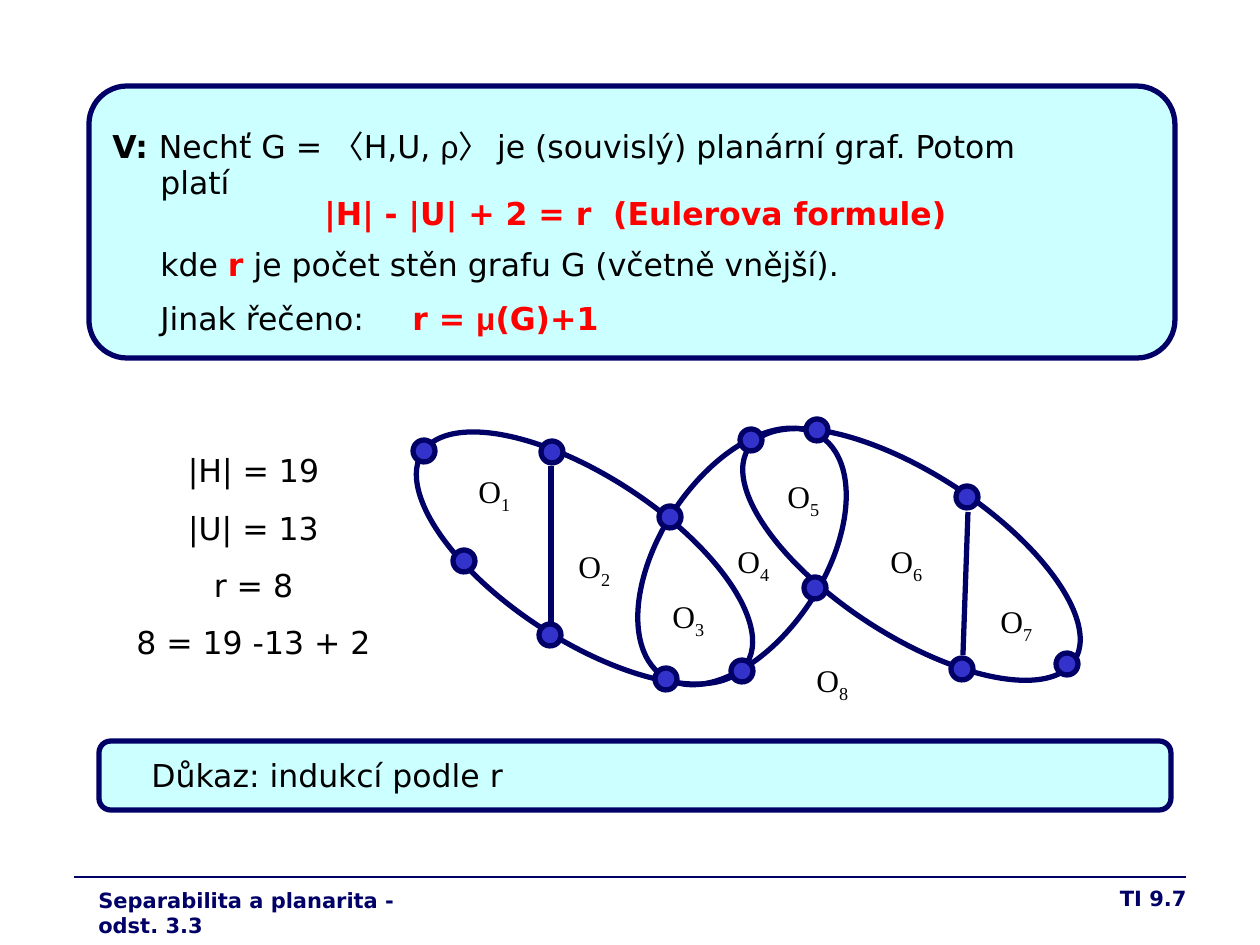
import pptx
import pptx.util
import pptx.dml.color
import pptx.enum.shapes
import pptx.enum.text
import pptx.oxml.ns
from lxml import etree

PX = 914400 / 126
COLORS = {"navy": "000066", "node": "3333CC", "panel": "CCFFFF", "red": "FF0000", "black": "000000"}
SANS, SERIF, GREEK = "DejaVu Sans", "Times New Roman", "Arial"
SHAPE = pptx.enum.shapes.MSO_SHAPE
ALIGN = pptx.enum.text.PP_ALIGN
Pt = pptx.util.Pt
RGB = pptx.dml.color.RGBColor.from_string
qn = pptx.oxml.ns.qn

prs = pptx.Presentation()
prs.slide_width = pptx.util.Inches(10)
prs.slide_height = pptx.util.Inches(7.5)
s = prs.slides.add_slide(prs.slide_layouts[6])


def outline(kind, box, fill=None):
    sp = s.shapes.add_shape(kind, *[round(v * PX) for v in box])
    sp.shadow.inherit = False
    if fill:
        sp.fill.solid()
        sp.fill.fore_color.rgb = RGB(COLORS[fill])
    else:
        sp.fill.background()
    sp.line.color.rgb = RGB(COLORS["navy"])
    sp.line.width = Pt(3)
    return sp


def write(box, paragraphs, align=ALIGN.LEFT, before=0):
    sp = s.shapes.add_textbox(*[round(v * PX) for v in box])
    tf = sp.text_frame
    tf.word_wrap = True
    for i, runs in enumerate(paragraphs):
        p = tf.paragraphs[0] if i == 0 else tf.add_paragraph()
        p.alignment = align
        if i:
            p.space_before = Pt(before)
        for text, size, font, color, bold in runs:
            r = p.add_run()
            r.text = text
            r.font.size = Pt(size)
            r.font.name = font
            r.font.bold = bold
            r.font.color.rgb = RGB(COLORS[color])
    return tf


theorem_panel = outline(SHAPE.ROUNDED_RECTANGLE, (89, 86, 1086, 272), "panel")
theorem_panel.adjustments[0] = 0.14

plain = (18, SANS, "black", False)
greek = (18, GREEK, "black", False)
strong = (18, SANS, "red", True)
theorem = [
    [("V: ", 18, SANS, "black", True), ("Nechť G = ", *plain), ("〈", *greek), ("H,U, ", *plain),
     ("ρ〉", *greek), (" je (souvislý) planární graf. Potom", *plain)],
    [("\tplatí", *plain)],
    [("|H| - |U| + 2 = r  (Eulerova formule)", *strong)],
    [("\tkde ", *plain), ("r", *strong), (" je počet stěn grafu G (včetně vnější).", *plain)],
    [("\tJinak řečeno: \t", *plain), ("r = ", *strong), ("μ", 18, GREEK, "red", True),
     ("(G)+1", *strong)],
]
tf = write((100, 91, 1071, 263), theorem, before=4.5)
for p, spacing in zip(tf.paragraphs, (1.8, 0.7, 0.6, 1.2, 1.2)):
    pPr = p._p.get_or_add_pPr()
    pPr.set("marL", str(round(48 * PX)))
    pPr.set("indent", str(round(-48 * PX)))
    tabs = etree.SubElement(pPr, qn("a:tabLst"))
    for inch in range(8):
        etree.SubElement(tabs, qn("a:tab"), pos=str(inch * 914400), algn="l")
    p.line_spacing = spacing
tf.paragraphs[2].alignment = ALIGN.CENTER

faces = [(466, 466), (566, 541), (660, 591), (725, 536), (775, 471), (878, 536), (988, 596), (804, 655)]
for number, (x, y) in enumerate(faces, 1):
    label = [("O", 18, SERIF, "black", False), (str(number), 18, SERIF, "black", False)]
    tf = write((x, y, 59, 55), [label])
    tf.paragraphs[0].runs[1].font._element.set("baseline", "-25000")

loops = [(391, 476, 387, 164), (660, 413, 164, 287), (717, 474, 389, 161)]
for box in loops:
    outline(SHAPE.OVAL, box).rotation = 33.1

nodes = [(424, 451), (552, 452), (464, 561), (550, 635), (670, 517), (666, 679), (742, 671),
         (751, 440), (817, 430), (815, 588), (967, 497), (962, 669), (1067, 664)]
for x, y in nodes:
    outline(SHAPE.OVAL, (x - 11, y - 11, 22, 22), "node").rotation = 33.1

lines = [((551, 466, 551, 625), 3), ((968, 512, 963, 655), 3), ((74, 877, 1186, 877), 0.75)]
for ends, width in lines:
    line = s.shapes.add_connector(pptx.enum.shapes.MSO_CONNECTOR.STRAIGHT, *[round(v * PX) for v in ends])
    line.line.color.rgb = RGB(COLORS["navy"])
    line.line.width = Pt(width)
    etree.SubElement(line._element.spPr, qn("a:effectLst"))

counts = ["|H| = 19", "|U| = 13", "r = 8", "8 = 19 -13 + 2"]
write((105, 445, 297, 223), [[(text, *plain)] for text in counts], ALIGN.CENTER, 11.2)

proof_panel = outline(SHAPE.ROUNDED_RECTANGLE, (99, 741, 1072, 69), "panel")
proof_panel.adjustments[0] = 0.17
write((139, 750, 1022, 50), [[("Důkaz: indukcí podle r", *plain)]])

footer = (12, SANS, "navy", True)
write((86, 881, 377, 38), [[("Separabilita a planarita - odst. 3.3", *footer)]])
write((937, 879, 262, 45), [[("TI 9.7", *footer)]], ALIGN.RIGHT)

prs.save("out.pptx")
